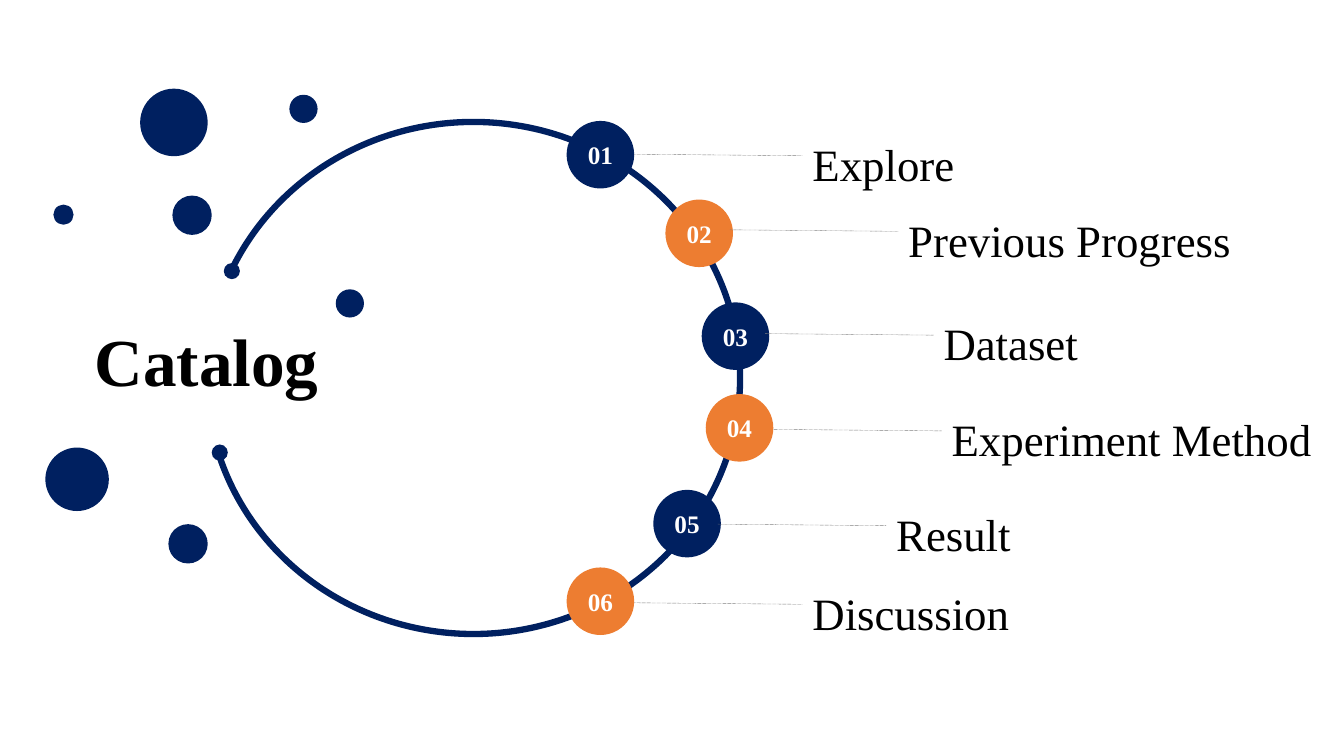
"""Build the catalog slide: a ring with six numbered topics."""
from lxml import etree
from pptx import Presentation
from pptx.dml.color import RGBColor
from pptx.enum.dml import MSO_LINE
from pptx.enum.shapes import MSO_CONNECTOR, MSO_SHAPE
from pptx.enum.text import MSO_ANCHOR, MSO_AUTO_SIZE, PP_ALIGN
from pptx.oxml.ns import qn
from pptx.util import Pt

OVAL, RECT = MSO_SHAPE.OVAL, MSO_SHAPE.RECTANGLE
STRAIGHT, DOTTED = MSO_CONNECTOR.STRAIGHT, MSO_LINE.ROUND_DOT
TOP, MIDDLE = MSO_ANCHOR.TOP, MSO_ANCHOR.MIDDLE
LEFT, CENTER, JUSTIFY = PP_ALIGN.LEFT, PP_ALIGN.CENTER, PP_ALIGN.JUSTIFY
GROW = MSO_AUTO_SIZE.SHAPE_TO_FIT_TEXT

PX = 9144
FONT = "Times New Roman"
COLORS = {"navy": "002060", "orange": "ED7D31", "white": "FFFFFF",
          "black": "000000", "gray": "808080"}

RING = (205, 121, 529, 508)
TITLE = ("Catalog", (84, 274, 268, 176))
DOTS = [(222, 261, 16), (210, 441, 16), (139, 88, 67), (287, 94, 28),
        (171, 194, 39), (45, 444, 63), (167, 520, 39), (53, 203, 20),
        (333, 287, 28)]
TOPICS = [
    ("Explore", (562, 120), (796, 120), 237),
    ("Previous Progress", (660, 198), (891, 195), 360),
    ("Dataset", (696, 300), (926, 298), 237),
    ("Experiment Method", (700, 391), (934, 393), 407),
    ("Result", (648, 486), (879, 487), 237),
    ("Discussion", (562, 563), (796, 565), 237),
]
BADGE, LABEL_H, LEADER_W, LEADER_Y = 67, 69, 167, 33

TITLE_STYLE = {"size": Pt(48), "bold": True, "color": "black"}
BADGE_STYLE = {"size": Pt(18), "bold": True, "color": "white"}
LABEL_STYLE = {"size": Pt(32), "bold": False, "color": "black"}


def rgb(name):
    return RGBColor.from_string(COLORS[name])


def add_shape(s, kind, box, fill=None, line=None):
    sp = s.shapes.add_shape(kind, *(v * PX for v in box))
    sp.shadow.inherit = False
    if fill:
        sp.fill.solid()
        sp.fill.fore_color.rgb = rgb(fill)
    else:
        sp.fill.background()
    if line:
        sp.line.color.rgb = rgb(line)
        sp.line.width = Pt(4.5)
    else:
        sp.line.fill.background()
    return sp


def put_text(sp, text, style, align, anchor=MIDDLE, spacing=1.0):
    tf = sp.text_frame
    tf.word_wrap = True
    tf.vertical_anchor = anchor
    p = tf.paragraphs[0]
    p.alignment, p.line_spacing = align, spacing
    r = p.add_run()
    r.text = text
    r.font.name = FONT
    for key, value in style.items():
        if key == "color":
            r.font.color.rgb = rgb(value)
        else:
            setattr(r.font, key, value)


def add_leader(s, x, y, label):
    line = s.shapes.add_connector(STRAIGHT, x * PX, y * PX, label.left, y * PX)
    line.end_connect(label, 1)
    line.line.color.rgb = rgb("gray")
    line.line.width = Pt(0.25)
    line.line.dash_style = DOTTED
    etree.SubElement(line._element.spPr, qn("a:effectLst"))


def main():
    prs = Presentation()
    prs.slide_width, prs.slide_height = 1333 * PX, 750 * PX
    s = prs.slides.add_slide(prs.slide_layouts[6])

    add_shape(s, OVAL, RING, line="navy")
    title, box = TITLE
    put_text(add_shape(s, RECT, box, "white"), title, TITLE_STYLE, JUSTIFY,
             spacing=0.9)
    for x, y, d in DOTS:
        add_shape(s, OVAL, (x, y, d, d), "navy")

    for i, (topic, badge_at, (x, y), width) in enumerate(TOPICS):
        badge = add_shape(s, OVAL, (*badge_at, BADGE, BADGE),
                          ("navy", "orange")[i % 2])
        put_text(badge, f"{i + 1:02d}", BADGE_STYLE, CENTER)
        label = add_shape(s, RECT, (x, y, width, LABEL_H), "white")
        put_text(label, topic, LABEL_STYLE, LEFT, TOP, 1.2)
        label.text_frame.auto_size = GROW
        add_leader(s, x - LEADER_W, y + LEADER_Y, label)

    prs.save("out.pptx")


if __name__ == "__main__":
    main()
